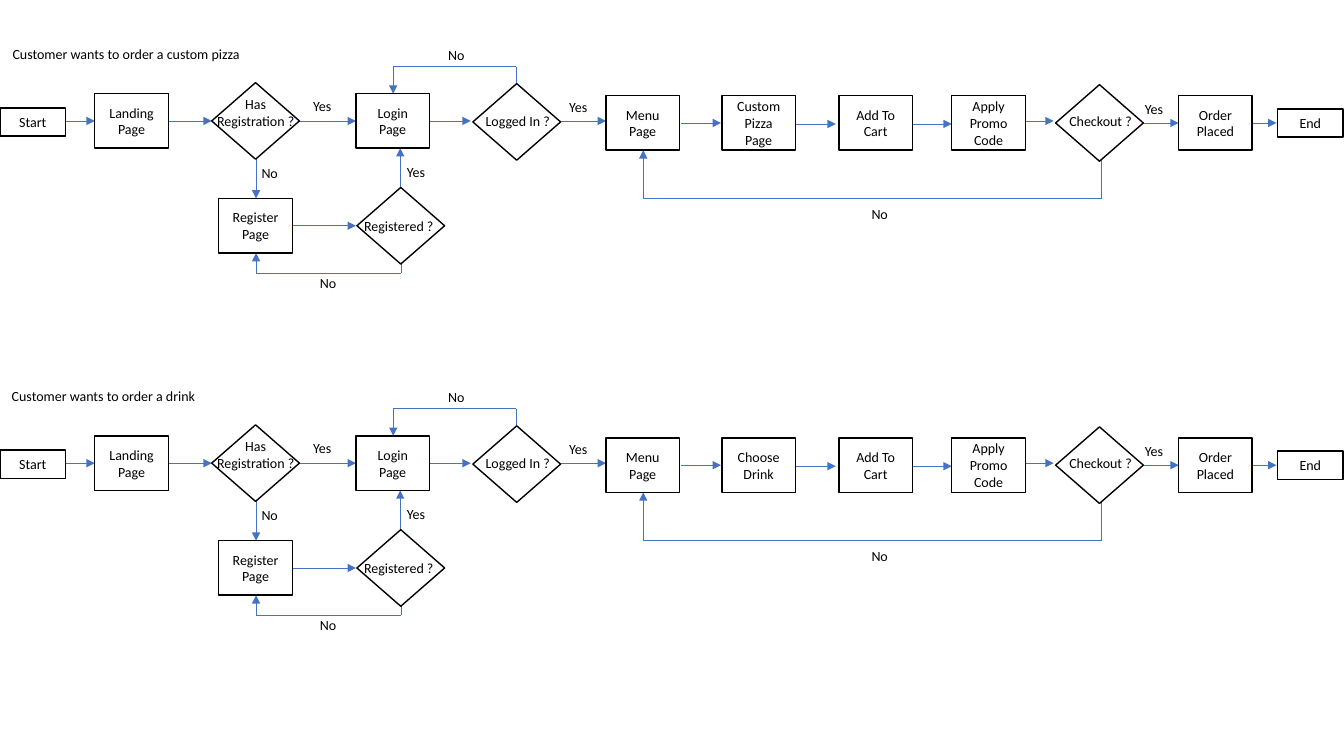
from lxml import etree
from pptx import Presentation
from pptx import util as u
from pptx.dml.color import RGBColor
from pptx.enum import shapes, text
from pptx.oxml.ns import qn

# Content: positions in inches, for the upper flow
FLOWS = [  # caption, caption width, product page, drop from the upper flow
    ("Customer wants to order a custom pizza", 2.5, "Custom Pizza\nPage", 0),
    ("Customer wants to order a drink", 2.05, "Choose Drink", 3.395),
]
CAPTION_TOP = 0.4
TERMINALS = [("Start", 0, 1.07), ("End", 12.67, 1.08)]
PAGES = [
    ("Landing Page", 0.94, 0.93),
    ("Login Page", 3.53, 0.93),
    ("Register Page", 2.17, 1.97),
    ("Menu Page", 6.01, 0.95),
    ("Add To Cart", 8.32, 0.95),
    ("Apply Promo Code", 9.44, 0.95),
    ("Order Placed", 11.69, 0.95),
]
PRODUCT_AT = (7.16, 0.95)
DECISIONS = [(2.1, 0.82), (4.69, 0.83), (3.54, 1.86), (10.47, 0.84)]
LABELS = [  # text, left, top, width
    ("Has\nRegistration ?", 2.04, 0.9, 0.99),
    ("Logged In ?", 4.71, 1.07, 0.85),
    ("Registered ?", 3.5, 2.11, 0.91),
    ("Checkout ?", 10.5, 1.07, 0.83),
    ("Yes", 3, 0.92, 0.39),
    ("Yes", 5.54, 0.93, 0.39),
    ("Yes", 3.93, 1.57, 0.39),
    ("Yes", 11.25, 0.95, 0.39),
    ("No", 2.49, 1.58, 0.37),
    ("No", 3.07, 2.67, 0.37),
    ("No", 4.34, 0.41, 0.37),
    ("No", 8.54, 1.99, 0.37),
]
ROUTES = [  # points of each route; the arrowhead is at the last one
    [(0.65, 1.2), (0.94, 1.2)],
    [(1.68, 1.2), (2.1, 1.2)],
    [(2.97, 1.2), (3.53, 1.2)],
    [(4.27, 1.2), (4.67, 1.2)],
    [(5.56, 1.2), (6.01, 1.2)],
    [(6.75, 1.22), (7.15, 1.22)],
    [(7.89, 1.23), (8.29, 1.23)],
    [(9.04, 1.23), (9.44, 1.23)],
    [(10.17, 1.2), (10.45, 1.2)],
    [(11.33, 1.22), (11.69, 1.22)],
    [(12.41, 1.22), (12.66, 1.22)],
    [(2.54, 1.58), (2.54, 1.97)],
    [(2.9, 2.24), (3.53, 2.24)],
    [(3.97, 1.86), (3.97, 1.47)],
    [(3.98, 2.62), (3.98, 2.71), (2.54, 2.71), (2.54, 2.51)],
    [(5.12, 0.83), (5.12, 0.66), (3.9, 0.66), (3.9, 0.93)],
    [(10.92, 1.58), (10.92, 1.97), (6.38, 1.97), (6.38, 1.49)],
]

# Theme and sizes
THEME = {
    "font": "Calibri", "size": 10, "ink": RGBColor(0, 0, 0),
    "paper": RGBColor(255, 255, 255), "arrow": RGBColor(0x44, 0x72, 0xC4),
    "outline": 1, "arrow_width": 0.5,
}
TERMINAL, PAGE, DECISION = (0.65, 0.28), (0.73, 0.54), (0.87, 0.76)
LINE_HEIGHT, LABEL_PADDING = 0.17, 0.1
RECT = shapes.MSO_SHAPE.RECTANGLE
DIAMOND = shapes.MSO_SHAPE.DIAMOND


def write(box, words, wrap=True, anchor=text.MSO_ANCHOR.TOP,
          fit=text.MSO_AUTO_SIZE.NONE):
    frame = box.text_frame
    frame.word_wrap = wrap
    frame.vertical_anchor = anchor
    frame.auto_size = fit
    for number, line in enumerate(words.split("\n")):
        para = frame.add_paragraph() if number else frame.paragraphs[0]
        para.alignment = text.PP_ALIGN.CENTER
        span = para.add_run()
        span.text = line
        span.font.name = THEME["font"]
        span.font.size = u.Pt(THEME["size"])
        span.font.color.rgb = THEME["ink"]


def add_node(page, kind, left, top, size, words=""):
    node = page.shapes.add_shape(kind, *map(u.Inches, (left, top, *size)))
    node.shadow.inherit = False
    node.fill.solid()
    node.fill.fore_color.rgb = THEME["paper"]
    node.line.color.rgb = THEME["ink"]
    node.line.width = u.Pt(THEME["outline"])
    if words:
        write(node, words, anchor=text.MSO_ANCHOR.MIDDLE)


def add_label(page, words, left, top, width):
    height = LABEL_PADDING + LINE_HEIGHT * len(words.split("\n"))
    label = page.shapes.add_textbox(*map(u.Inches, (left, top, width, height)))
    write(label, words, wrap=False, fit=text.MSO_AUTO_SIZE.SHAPE_TO_FIT_TEXT)


def add_route(page, points, drop):
    places = [(u.Inches(x), u.Inches(y + drop)) for x, y in points]
    for start, end in zip(places, places[1:]):
        line = page.shapes.add_connector(
            shapes.MSO_CONNECTOR.STRAIGHT, *start, *end)
        line.line.color.rgb = THEME["arrow"]
        line.line.width = u.Pt(THEME["arrow_width"])
        properties = line._element.spPr
        if end == places[-1]:
            etree.SubElement(properties.find(qn("a:ln")), qn("a:tailEnd"),
                             type="triangle")
        etree.SubElement(properties, qn("a:effectLst"))


def add_flow(page, caption, caption_width, product, drop):
    add_label(page, caption, 0, CAPTION_TOP + drop, caption_width)
    # Routes
    for points in ROUTES:
        add_route(page, points, drop)
    # Steps
    for words, left, top in TERMINALS:
        add_node(page, RECT, left, top + drop, TERMINAL, words)
    for words, left, top in PAGES + [(product, *PRODUCT_AT)]:
        add_node(page, RECT, left, top + drop, PAGE, words)
    for left, top in DECISIONS:
        add_node(page, DIAMOND, left, top + drop, DECISION)
    # Questions and answers
    for words, left, top, width in LABELS:
        add_label(page, words, left, top + drop, width)


def main():
    deck = Presentation()
    deck.slide_width, deck.slide_height = u.Inches(13.33), u.Inches(7.5)
    page = deck.slides.add_slide(deck.slide_layouts.get_by_name("Blank"))
    for flow in FLOWS:
        add_flow(page, *flow)
    deck.save("out.pptx")


if __name__ == "__main__":
    main()
